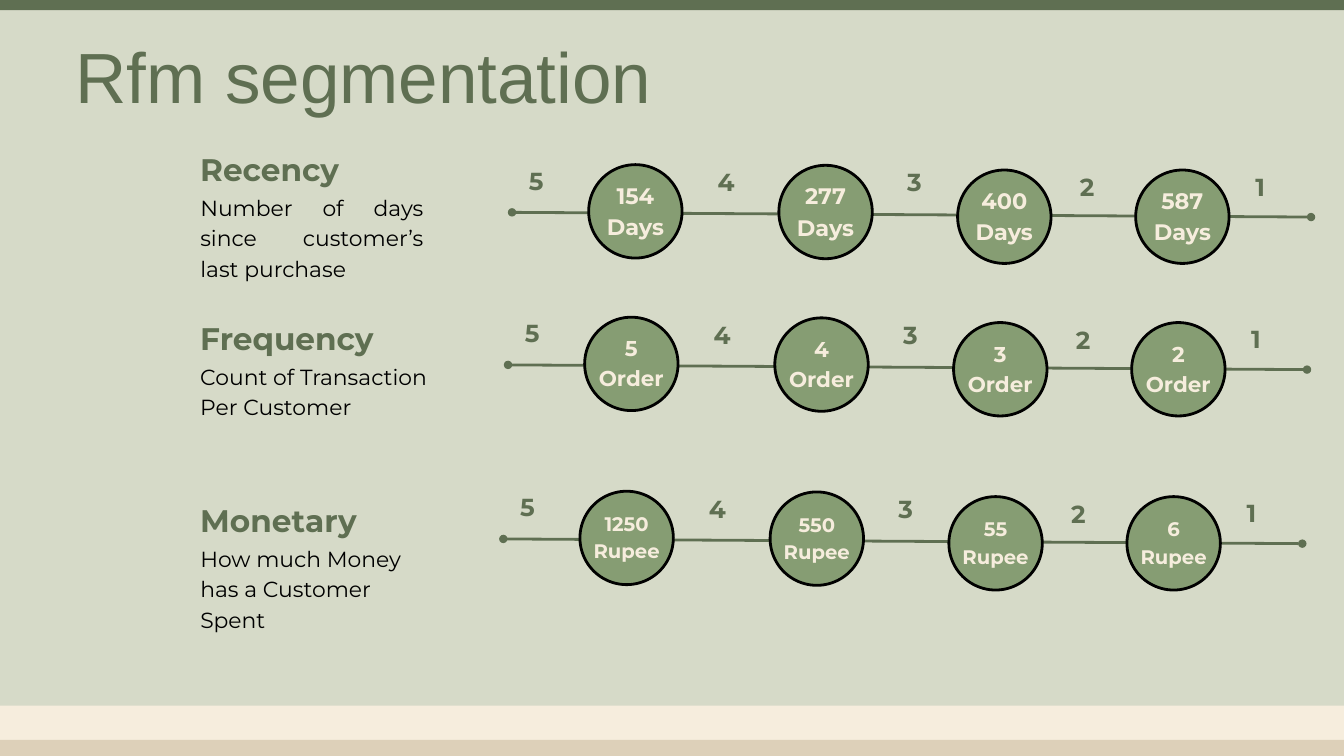
"""Build the RFM segmentation slide with one scored timeline per measure."""
from lxml import etree
from pptx import Presentation
from pptx.dml.color import RGBColor
from pptx.enum import shapes, text
from pptx.oxml import ns
from pptx.util import Inches, Pt

SAGE = RGBColor(0xD6, 0xDA, 0xC8)
CREAM = RGBColor(0xF6, 0xED, 0xDD)
TAN = RGBColor(0xDD, 0xD0, 0xB9)
FOREST = RGBColor(0x5F, 0x6F, 0x52)
LEAF = RGBColor(0x86, 0x9D, 0x73)
BLACK = RGBColor(0, 0, 0)


def add_text(box, lines, size, spacing, color, bold=True, font="Montserrat",
             align=text.PP_ALIGN.LEFT, inset=0, anchor=text.MSO_ANCHOR.TOP):
    shape = slide.shapes.add_textbox(*(Inches(value) for value in box))
    frame = shape.text_frame
    frame.word_wrap = True
    frame.vertical_anchor = anchor
    frame.margin_left = frame.margin_right = Inches(inset)
    frame.margin_top = frame.margin_bottom = Inches(inset)
    frame.text = lines
    for paragraph in frame.paragraphs:
        paragraph.alignment = align
        paragraph.line_spacing = Pt(spacing)
        for run in paragraph.runs:
            run.font.name = font
            run.font.size = Pt(size)
            run.font.bold = bold
            run.font.color.rgb = color


def add_filled_shape(kind, box, color):
    shape = slide.shapes.add_shape(kind, *(Inches(value) for value in box))
    shape.shadow.inherit = False
    shape.fill.solid()
    shape.fill.fore_color.rgb = color
    shape.line.fill.background()
    return shape


presentation = Presentation()
presentation.slide_width = Inches(20)
presentation.slide_height = Inches(11.25)
slide = presentation.slides.add_slide(presentation.slide_layouts[6])
slide.background.fill.solid()
slide.background.fill.fore_color.rgb = SAGE

bands = [
    ((-0.32, 10.5, 20.64, 1.03), CREAM),
    ((-0.32, 11.01, 20.95, 4.45), TAN),
    ((-0.32, -0.49, 20.64, 0.64), FOREST),
]
for box, color in bands:
    add_filled_shape(shapes.MSO_SHAPE.RECTANGLE, box, color)

add_text((1.12, 0.48, 17.75, 1.27), "Rfm segmentation", 76.1, 92.1, FOREST,
         bold=False, font="Arial")

measures = [
    ("Recency", 2.15, "Number of days since customer’s last purchase", 3.32, 1.33,
     7.62, 3.16, ["154", "277", "400", "587"], "Days", 24),
    ("Frequency", 4.66, "Count of Transaction\nPer Customer", 3.47, 0.88,
     7.56, 5.43, ["5", "4", "3", "2"], "Order", 23),
    ("Monetary", 7.37, "How much Money\nhas a Customer\nSpent", 3.32, 1.33,
     7.49, 8.02, ["1250", "550", "55", "6"], "Rupee", 21),
]
circle_offsets = [(1.14, -0.71), (3.97, -0.7), (6.63, -0.63), (9.28, -0.63)]
score_offsets = [(0.25, -0.77), (3.06, -0.75), (5.88, -0.75), (8.45, -0.67), (11.06, -0.68)]

for (name, top, description, width, height,
     axis_x, axis_y, limits, unit, size) in measures:
    add_text((2.98, top, 3.73, 0.62), name, 33.4, 46.7, FOREST)
    add_text((2.98, top + 0.68, width, height), description, 23.4, 32.7, BLACK,
             bold=False, align=text.PP_ALIGN.JUSTIFY)

    axis = slide.shapes.add_connector(
        shapes.MSO_CONNECTOR.STRAIGHT, Inches(axis_x), Inches(axis_y),
        Inches(axis_x + 11.89), Inches(axis_y + 0.07))
    axis.line.color.rgb = FOREST
    axis.line.width = Pt(3)
    line = axis.line._get_or_add_ln()
    for end in ("a:headEnd", "a:tailEnd"):
        etree.SubElement(line, ns.qn(end), type="oval")
    etree.SubElement(axis._element.spPr, ns.qn("a:effectLst"))

    for (dx, dy), limit in zip(circle_offsets, limits):
        left, circle_top = axis_x + dx, axis_y + dy
        circle = add_filled_shape(shapes.MSO_SHAPE.OVAL, (left, circle_top, 1.39, 1.39), LEAF)
        circle.line.color.rgb = BLACK
        circle.line.width = Pt(3)
        add_text((left + 0.13, circle_top + 0.05, 1.13, 1.21), f"{limit} {unit}",
                 size, size * 1.4, CREAM, align=text.PP_ALIGN.CENTER,
                 inset=0.06, anchor=text.MSO_ANCHOR.MIDDLE)

    for score, (dx, dy) in zip("54321", score_offsets):
        add_text((axis_x + dx, axis_y + dy, 0.4, 0.49), score, 26.4, 36.9, FOREST)

presentation.save("out.pptx")
